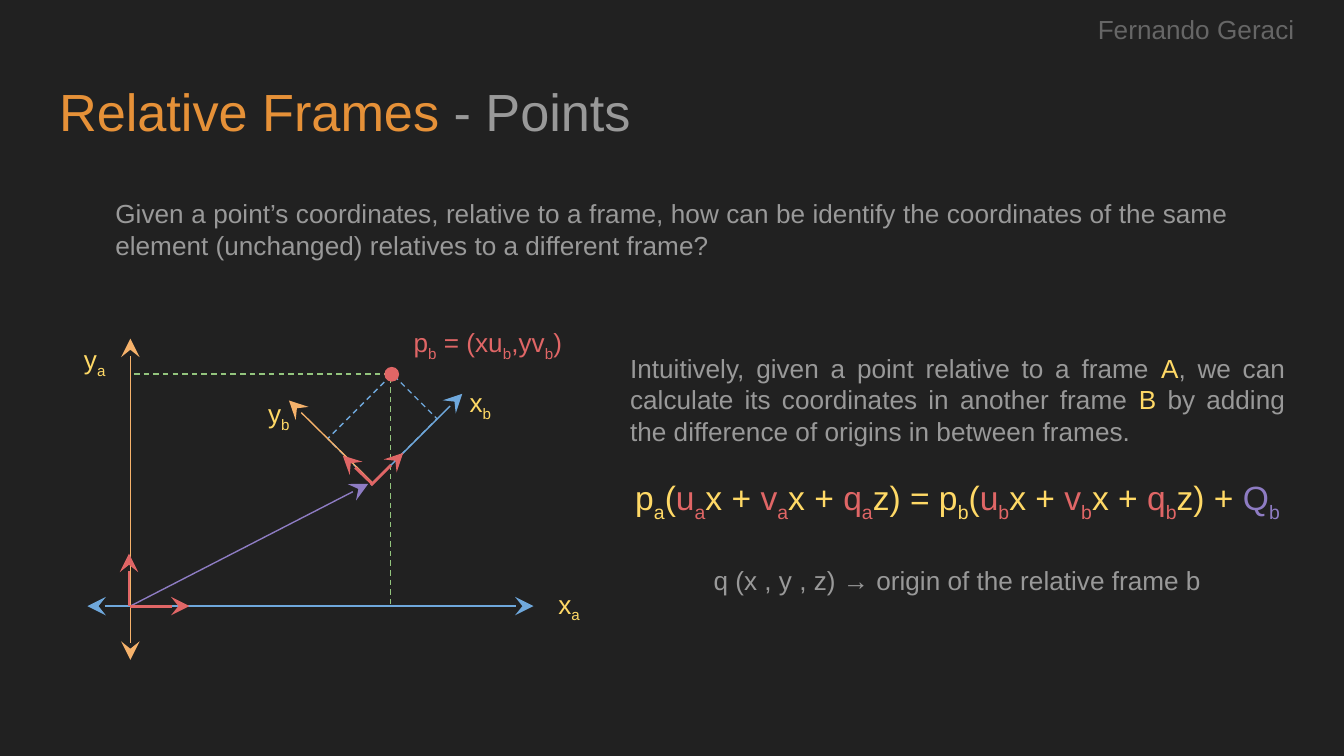
from dataclasses import dataclass

from lxml.etree import SubElement
from pptx import Presentation
from pptx.dml.color import RGBColor
from pptx.enum.dml import MSO_LINE
from pptx.enum.shapes import MSO_CONNECTOR, MSO_SHAPE
from pptx.enum.text import MSO_ANCHOR, MSO_AUTO_SIZE, PP_ALIGN
from pptx.oxml.ns import qn
from pptx.util import Inches, Pt

COLS, ROWS = 100, 56.25
CELL = Inches(0.1)
FONT = "Arial"
COLORS = {
    "back": "212121", "orange": "E69138", "gray": "999999", "dim": "666666",
    "yellow": "FFD966", "red": "E06666", "purple": "8E7CC3", "green": "93C47D",
    "blue": "6FA8DC", "peach": "F6B26B",
}


@dataclass
class Run:
    text: str
    color: str
    sub: bool = False


@dataclass
class Para:
    runs: list[Run]
    size: int = 14
    align: PP_ALIGN = PP_ALIGN.CENTER
    before: float = 0


@dataclass
class Box:
    col: float
    row: float
    cols: float
    rows: float


@dataclass
class Arrow:
    start: tuple[float, float]
    end: tuple[float, float]
    color: str
    width: float = 0.75
    head: bool = False
    tail: bool = True


def cells(n: float) -> int:
    return round(n * CELL)


def place(box: Box) -> tuple[int, int, int, int]:
    return cells(box.col), cells(box.row), cells(box.cols), cells(box.rows)


def rgb(name: str) -> RGBColor:
    return RGBColor.from_string(COLORS[name])


def term(symbol: str, index: str, color: str) -> list[Run]:
    return [Run(symbol, color), Run(index, color, True)]


def frame_sum(index: str) -> list[Run]:
    runs = term("p", index, "yellow") + [Run("(", "yellow")]
    for symbol, rest in (("u", "x + "), ("v", "x + "), ("q", "z)")):
        runs += term(symbol, index, "red") + [Run(rest, "yellow")]
    return runs


def write(tf, paras: list[Para], anchor: MSO_ANCHOR) -> None:
    tf.word_wrap = True
    tf.auto_size = MSO_AUTO_SIZE.NONE
    tf.vertical_anchor = anchor
    tf.margin_left = tf.margin_right = tf.margin_top = tf.margin_bottom = CELL
    for i, para in enumerate(paras):
        p = tf.add_paragraph() if i else tf.paragraphs[0]
        p.alignment = para.align
        p.space_before = Pt(para.before)
        for run in para.runs:
            r = p.add_run()
            r.text = run.text
            r.font.name = FONT
            r.font.size = Pt(para.size)
            r.font.color.rgb = rgb(run.color)
            if run.sub:
                r.font._element.set("baseline", "-25000")


def add_text(s, box: Box, paras: list[Para], anchor: MSO_ANCHOR = MSO_ANCHOR.MIDDLE) -> None:
    write(s.shapes.add_textbox(*place(box)).text_frame, paras, anchor)


def add_dashed(s, box: Box, color: str, rotation: float = 0) -> None:
    sp = s.shapes.add_shape(MSO_SHAPE.RECTANGLE, *place(box))
    sp.shadow.inherit = False
    sp.rotation = rotation
    sp.fill.background()
    sp.line.color.rgb = rgb(color)
    sp.line.width = Pt(0.75)
    sp.line.dash_style = MSO_LINE.DASH


def add_dot(s, box: Box, color: str) -> None:
    sp = s.shapes.add_shape(MSO_SHAPE.OVAL, *place(box))
    sp.shadow.inherit = False
    sp.fill.solid()
    sp.fill.fore_color.rgb = rgb(color)
    sp.line.fill.background()


def add_arrow(s, arrow: Arrow) -> None:
    ends = [cells(n) for n in (*arrow.start, *arrow.end)]
    sp = s.shapes.add_connector(MSO_CONNECTOR.STRAIGHT, *ends)
    sp.line.color.rgb = rgb(arrow.color)
    sp.line.width = Pt(arrow.width)
    ln = sp.line._get_or_add_ln()
    for tag, shown in (("a:headEnd", arrow.head), ("a:tailEnd", arrow.tail)):
        if shown:
            SubElement(ln, qn(tag), type="stealth", w="lg", len="lg")
    SubElement(sp._element.spPr, qn("a:effectLst"))


ORIGIN_A = (9.7, 45.1)
ORIGIN_B = (27.6, 36.1)

ARROWS = [
    Arrow((9.7, 25.2), (9.7, 49.1), "peach", head=True),
    Arrow((6.5, 45.1), (39.7, 45.1), "blue", head=True),
    Arrow((27.8, 36), (21.5, 29.8), "peach"),
    Arrow(ORIGIN_B, (34.4, 29.3), "blue"),
    Arrow(ORIGIN_A, (27.4, 36), "purple"),
    Arrow(ORIGIN_A, (14.1, 45.1), "red", 1.5),
    Arrow((9.6, 45.1), (9.6, 41.2), "red", 1.5),
    Arrow(ORIGIN_B, (30, 33.7), "red", 1.5),
    Arrow((27.7, 36), (25.5, 33.9), "red", 1.5),
]

AXIS_LABELS = [
    ("x", "b", 33.1, 28.1),
    ("y", "b", 18.1, 28.9),
    ("y", "a", 4.4, 24.9),
    ("x", "a", 39.7, 43.1),
]

POINT = (term("p", "b", "red") + term(" = (xu", "b", "red")
         + term(",yv", "b", "red") + [Run(")", "red")])

QUESTION = ("Given a point’s coordinates, relative to a frame, how can be identify the "
            "coordinates of the same element (unchanged) relatives to a different frame?")

EXPLANATION = [
    Para([
        Run("Intuitively, given a point relative to a frame ", "gray"),
        Run("A", "yellow"),
        Run(", we can calculate its coordinates in another frame ", "gray"),
        Run("B", "yellow"),
        Run(" by adding the difference of origins in between frames.", "gray"),
    ], align=PP_ALIGN.JUSTIFY),
    Para(frame_sum("a") + [Run(" = ", "yellow")] + frame_sum("b")
         + [Run(" + ", "yellow")] + term("Q", "b", "purple"), size=18, before=16.5),
    Para([Run("q (x , y , z) → origin of the relative frame b", "gray")], before=22),
]


def main() -> None:
    prs = Presentation()
    prs.slide_width, prs.slide_height = cells(COLS), cells(ROWS)
    s = prs.slides.add_slide(prs.slide_layouts[5])
    s.background.fill.solid()
    s.background.fill.fore_color.rgb = rgb("back")

    title = s.shapes.title
    title.left, title.top, title.width, title.height = place(Box(3.4, 4.9, 93.2, 6.3))
    write(title.text_frame, [Para([Run("Relative Frames ", "orange"), Run("- Points", "gray")],
                                  28, PP_ALIGN.LEFT)], MSO_ANCHOR.TOP)

    add_dashed(s, Box(9.7, 27.82, 19.36, 17.28), "green")
    add_dashed(s, Box(26.1, 28.5, 4.7, 6.8), "blue", 45)
    for arrow in ARROWS:
        add_arrow(s, arrow)
    add_dot(s, Box(28.6, 27.3, 1.1, 1.1), "red")

    for symbol, index, col, row in AXIS_LABELS:
        add_text(s, Box(col, row, 5.3, 4), [Para(term(symbol, index, "yellow"))])
    add_text(s, Box(29.6, 23.5, 13.4, 4.3), [Para(POINT)])
    add_text(s, Box(7.6, 14.5, 84.8, 5.1),
             [Para([Run(QUESTION, "gray")], align=PP_ALIGN.JUSTIFY)])
    add_text(s, Box(45.9, 25.2, 50.7, 21.9), EXPLANATION, MSO_ANCHOR.TOP)
    add_text(s, Box(78, 0, 22, 4.6), [Para([Run("Fernando Geraci", "dim")])], MSO_ANCHOR.TOP)

    prs.save("out.pptx")


if __name__ == "__main__":
    main()
